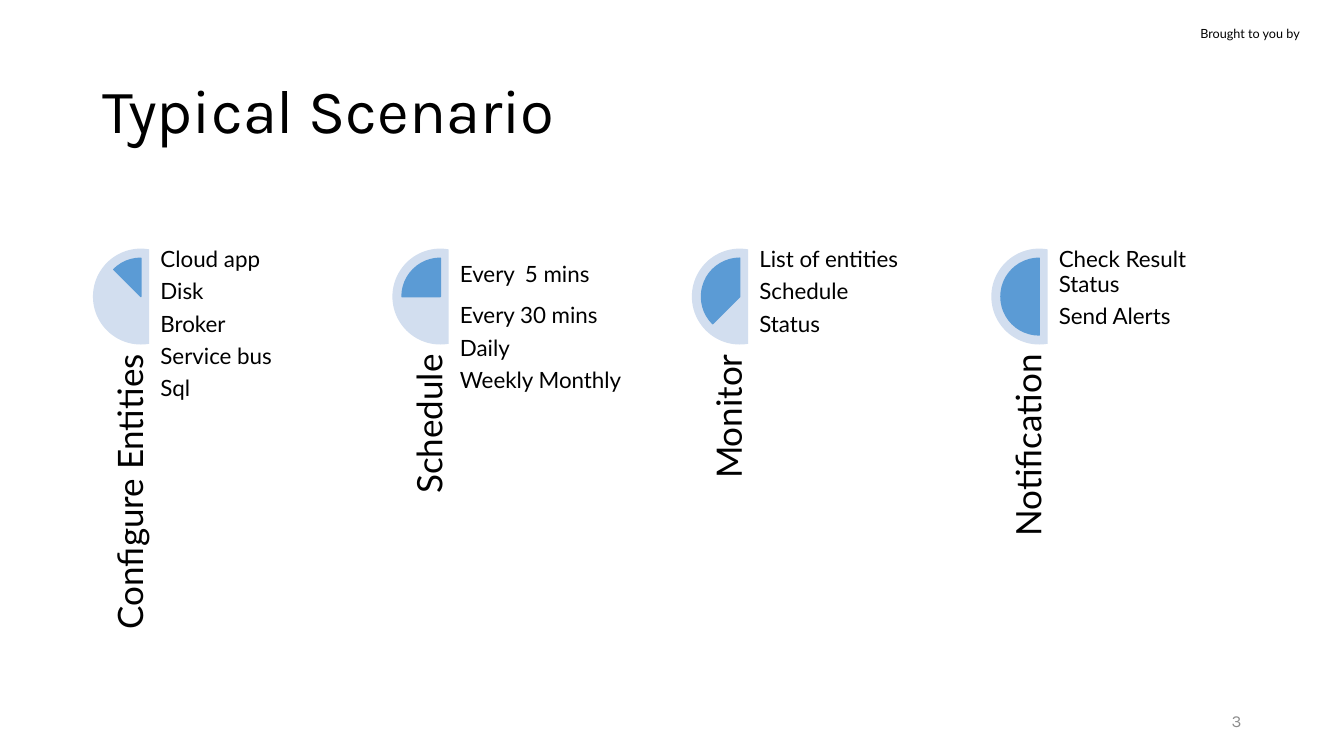
from pptx import Presentation
from pptx.dml.color import RGBColor
from pptx.enum.shapes import MSO_SHAPE
from pptx.enum.text import MSO_ANCHOR, PP_ALIGN
from pptx.util import Pt

BLACK = RGBColor(0x00, 0x00, 0x00)
GRAY = RGBColor(0x8C, 0x8C, 0x8C)
PALE = RGBColor(0xD2, 0xDE, 0xEF)
BLUE = RGBColor(0x5B, 0x9B, 0xD5)
CHORD, PIE = MSO_SHAPE.CHORD, MSO_SHAPE.PIE
TOP, MIDDLE, BOTTOM = MSO_ANCHOR.TOP, MSO_ANCHOR.MIDDLE, MSO_ANCHOR.BOTTOM
LEFT, RIGHT = PP_ALIGN.LEFT, PP_ALIGN.RIGHT

START, STEP = 66.4, 213.9
UPPER = 177.6
SIZE = 16

STAGES = [
    ("Configure Entities",
     ["Cloud app", "Disk", "Broker", "Service bus", "Sql"]),
    ("Schedule",
     [[("Every", SIZE), (" ", 28), ("5 mins", SIZE)],
      "Every 30 mins", "Daily", "Weekly Monthly"]),
    ("Monitor", ["List of entities", "Schedule", "Status"]),
    ("Notification", ["Check Result Status", "Send Alerts"]),
]


def add_text(slide, box, lines, size, font="Lato", color=BLACK, align=LEFT,
             anchor=TOP, space=0.9, inset=True, wrap=True):
    """Each line is a string, or a list of (text, size) runs."""
    shape = slide.shapes.add_textbox(*map(Pt, box))
    frame = shape.text_frame
    frame.word_wrap = wrap
    frame.vertical_anchor = anchor
    if not inset:
        frame.margin_left = frame.margin_right = 0
        frame.margin_top = frame.margin_bottom = 0
    for i, line in enumerate(lines):
        para = frame.add_paragraph() if i else frame.paragraphs[0]
        runs = [(line, size)] if isinstance(line, str) else line
        para.alignment = align
        para.line_spacing = space
        if len(lines) > 1:
            para.space_after = Pt(0.35 * max(pts for _, pts in runs))
        for text, pts in runs:
            run = para.add_run()
            run.text = text
            run.font.name = font
            run.font.size = Pt(pts)
            run.font.color.rgb = color
    return shape


def add_arc(slide, kind, x, y, side, angles, color):
    """Angles are in degrees, clockwise from three o'clock."""
    shape = slide.shapes.add_shape(kind, Pt(x), Pt(y), Pt(side), Pt(side))
    shape.shadow.inherit = False
    for i, angle in enumerate(angles):
        shape.adjustments[i] = angle * 0.6
    shape.fill.solid()
    shape.fill.fore_color.rgb = color
    shape.line.fill.background()
    return shape


def add_stage(slide, index, label, items):
    x = START + index * STEP
    add_arc(slide, CHORD, x, UPPER, 68.5, (80, 280), PALE)
    pie = add_arc(slide, PIE, x + 6.85, UPPER + 6.85, 54.8,
                  (225 - 45 * index, 270), BLUE)
    pie.line.color.rgb = BLUE
    pie.line.width = Pt(1)
    name = add_text(slide, (x - 79, 332.3, 199.4, 41), [label], 25,
                    align=RIGHT, anchor=BOTTOM, inset=False)
    name.rotation = 270
    add_text(slide, (x + 48.2, UPPER, 137.5, 275), items, SIZE, inset=False)


def main():
    deck = Presentation()
    deck.slide_width, deck.slide_height = Pt(960), Pt(540)
    slide = deck.slides.add_slide(deck.slide_layouts[6])
    add_text(slide, (850.3, 15.1, 93.6, 18), ["Brought to you by"], 9,
             space=1.0, wrap=False)
    for index, (label, items) in enumerate(STAGES):
        add_stage(slide, index, label, items)
    add_text(slide, (678, 500.5, 216, 28.75), ["3"], 12, "Karla", GRAY,
             RIGHT, MIDDLE, 1.0)
    add_text(slide, (66, 28.75, 828, 104.4), ["Typical Scenario"], 44,
             "Karla", anchor=MIDDLE)
    deck.save("out.pptx")


if __name__ == "__main__":
    main()
